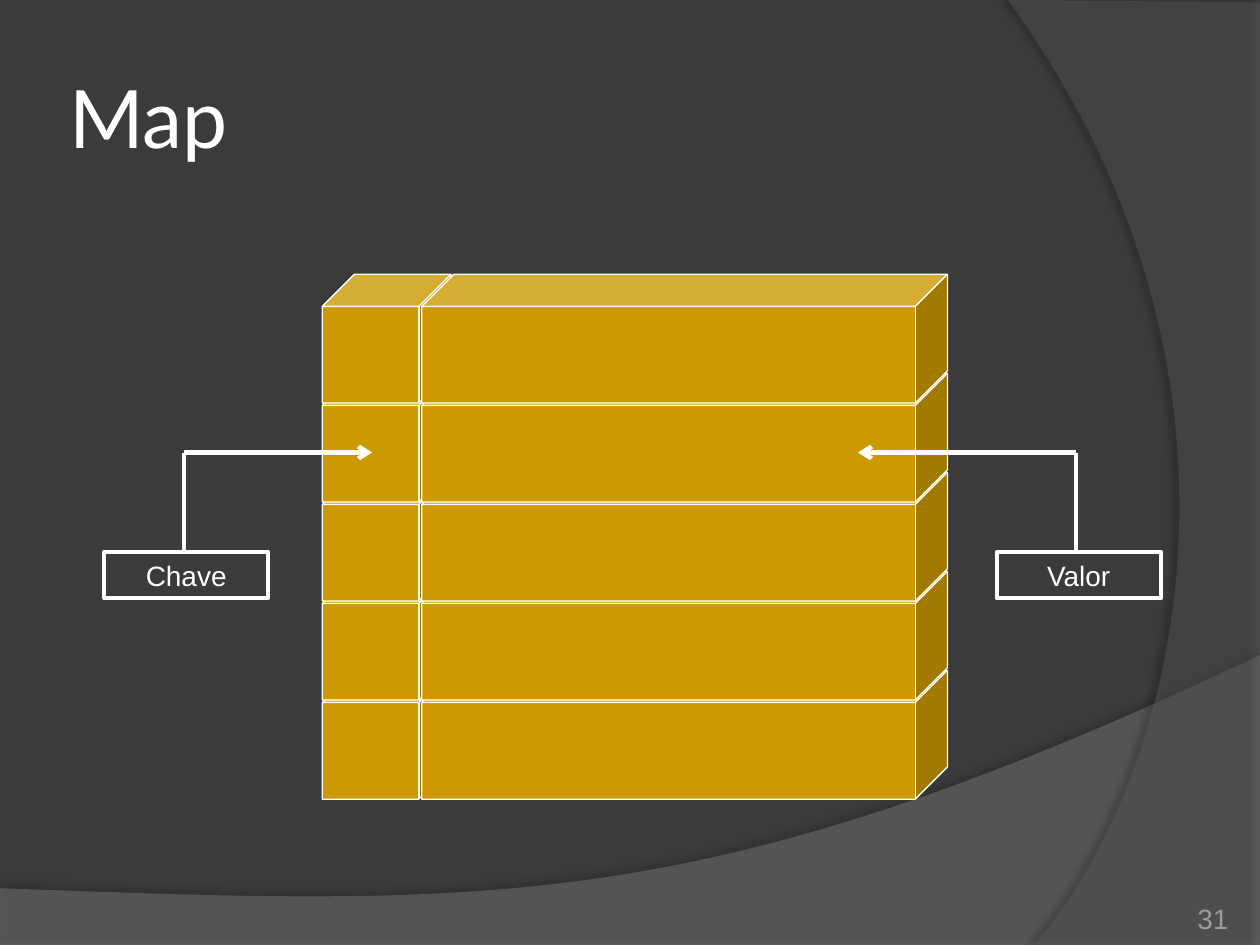
"""Build a slide that shows a map as stacked key and value blocks."""
import pptx
import pptx.dml.color
import pptx.enum.shapes
import pptx.enum.text
import pptx.oxml
import pptx.util

Pt = pptx.util.Pt
RGB = pptx.dml.color.RGBColor.from_string
SHAPE = pptx.enum.shapes.MSO_SHAPE
ALIGN = pptx.enum.text.PP_ALIGN
ANCHOR = pptx.enum.text.MSO_ANCHOR
NAMESPACE = 'xmlns:a="http://schemas.openxmlformats.org/drawingml/2006/main"'
THEME = {
    "background": "3B3B3B", "block": "CC9900", "white": "FFFFFF", "number": "9D9B9A",
    "lower_wave": "7F7F7F", "right_wave": "5E5E5E",
    "title_size": 46, "text_size": 16, "title_font": "Lato", "text_font": "Arial",
}


def curve(start, first, second, end, steps=60):
    """Return points along a cubic curve, without its start."""
    return [
        tuple(
            (1 - t) ** 3 * a + 3 * (1 - t) ** 2 * t * b + 3 * (1 - t) * t ** 2 * c + t ** 3 * d
            for a, b, c, d in zip(start, first, second, end)
        )
        for t in (step / steps for step in range(1, steps + 1))
    ]


def write(shape, text, font, size, color, align, anchor, inset):
    """Put one formatted paragraph into a shape."""
    frame = shape.text_frame
    layout = {
        "word_wrap": True, "vertical_anchor": anchor,
        "margin_left": Pt(inset[0]), "margin_right": Pt(inset[0]),
        "margin_top": Pt(inset[1]), "margin_bottom": Pt(inset[1]),
    }
    for name, value in layout.items():
        setattr(frame, name, value)
    paragraph = frame.paragraphs[0]
    paragraph.text = text
    paragraph.alignment = align
    for name, value in {"name": THEME[font], "size": Pt(THEME[size])}.items():
        setattr(paragraph.font, name, value)
    paragraph.font.color.rgb = RGB(THEME[color])


presentation = pptx.Presentation()
presentation.slide_width, presentation.slide_height = Pt(720), Pt(540)
slide = presentation.slides.add_slide(presentation.slide_layouts[6])
slide.background.fill.solid()
slide.background.fill.fore_color.rgb = RGB(THEME["background"])

lower_points = [(0, 507.6), (0, 540), (720, 540), (720, 374.4)]
lower_points += curve((720, 374.4), (402.5, 524.9), (281.5, 517.7), (0, 507.6))
right_points = [(720, 1.4), (720, 540), (591.1, 540)]
right_points += curve((591.1, 540), (673.2, 445.7), (733, 216), (576, 0))
waves = [
    (lower_points, "lower_wave", 45, 35, 3.5, 270),
    (right_points, "right_wave", 40, 45, 4, 180),
]
for points, color, opacity, shadow_opacity, distance, angle in waves:
    corners = [(Pt(x), Pt(y)) for x, y in points]
    builder = slide.shapes.build_freeform(*corners[0])
    builder.add_line_segments(corners[1:], close=True)
    wave = builder.convert_to_shape()
    wave.fill.solid()
    wave.fill.fore_color.rgb = RGB(THEME[color])
    wave.line.fill.background()
    wave_color = wave.fill._xPr.find(".//{*}srgbClr")
    wave_color.append(pptx.oxml.parse_xml(f'<a:alpha {NAMESPACE} val="{opacity * 1000}"/>'))
    wave.element.spPr.append(pptx.oxml.parse_xml(
        f'<a:effectLst {NAMESPACE}><a:outerShdw blurRad="{Pt(4)}" dist="{Pt(distance)}" '
        f'dir="{angle * 60000}" algn="ctr" rotWithShape="0"><a:srgbClr val="000000">'
        f'<a:alpha val="{shadow_opacity * 1000}"/></a:srgbClr></a:outerShdw></a:effectLst>'
    ))

title = slide.shapes.add_textbox(Pt(36), Pt(21.6), Pt(635.8), Pt(90))
write(title, "Map", "title_font", "title_size", "white", ALIGN.LEFT, ANCHOR.MIDDLE, (3.6, 3.6))
number = slide.shapes.add_textbox(Pt(642.2), Pt(505.4), Pt(59.8), Pt(28.8))
write(number, "31", "text_font", "text_size", "number", ALIGN.RIGHT, ANCHOR.BOTTOM, (0, 0))

stack = slide.shapes.add_group_shape()
for left, width in [(184.2, 73.6), (241, 300.4)]:
    for row in reversed(range(5)):
        block = stack.shapes.add_shape(
            SHAPE.CUBE, Pt(left), Pt(156.7 + 56.6 * row), Pt(width), Pt(73.6))
        block.adjustments[0] = 0.25
        block.shadow.inherit = False
        block.fill.solid()
        block.fill.fore_color.rgb = RGB(THEME["block"])
        block.line.color.rgb = RGB(THEME["white"])
        block.line.width = Pt(0.75)

for text, left, stem, tip in [("Chave", 59.5, 105, 212.6), ("Valor", 569.5, 615, 490.3)]:
    callout = slide.shapes.add_group_shape()
    label = callout.shapes.add_shape(SHAPE.RECTANGLE, Pt(left), Pt(315.4), Pt(93.8), Pt(26.5))
    label.shadow.inherit = False
    label.fill.background()
    label.line.color.rgb = RGB(THEME["white"])
    label.line.width = Pt(2.25)
    write(label, text, "text_font", "text_size", "white", ALIGN.CENTER, ANCHOR.MIDDLE, (7.2, 3.6))
    for end_x, end_y, has_arrow in [(tip, 258.6, True), (stem, 315.4, False)]:
        connector = callout.shapes.add_connector(
            pptx.enum.shapes.MSO_CONNECTOR.STRAIGHT, Pt(stem), Pt(258.6), Pt(end_x), Pt(end_y))
        connector.line.color.rgb = RGB(THEME["white"])
        connector.line.width = Pt(2.5)
        if has_arrow:
            connector.line._get_or_add_ln().append(
                pptx.oxml.parse_xml(f'<a:tailEnd {NAMESPACE} type="arrow"/>'))
        connector.element.spPr.append(pptx.oxml.parse_xml(f"<a:effectLst {NAMESPACE}/>"))

presentation.save("out.pptx")
